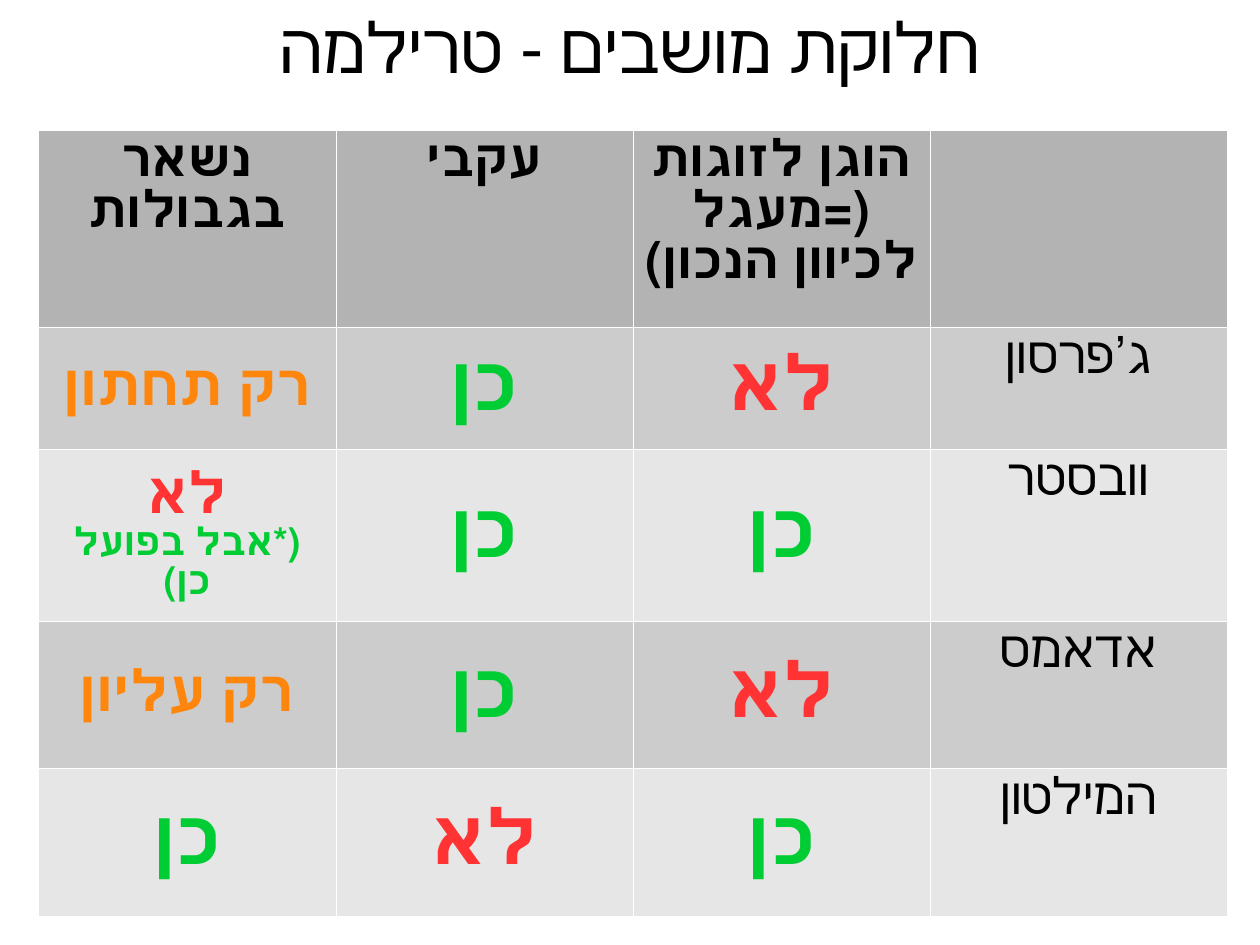
from dataclasses import dataclass

from lxml import etree
from pptx import Presentation
from pptx.dml.color import RGBColor
from pptx.enum import text
from pptx.oxml import ns
from pptx.util import Pt


@dataclass(frozen=True)
class Theme:
    font: str = "Arial"
    black: str = "000000"
    white: str = "FFFFFF"
    header: str = "B3B3B3"
    bands: tuple = ("CCCCCC", "E6E6E6")
    yes: str = "00CC33"
    no: str = "FF3333"
    partly: str = "FF860D"
    title_size: int = 44
    verdict_size: int = 48
    remark_size: int = 36
    label_size: int = 32
    note_size: int = 24
    border: float = 0.06


THEME = Theme()
SLIDE_WIDTH, SLIDE_HEIGHT = 793.7, 595.28
YES = [("כן", THEME.verdict_size, THEME.yes)]
NO = [("לא", THEME.verdict_size, THEME.no)]
HEADINGS = [["נשאר בגבולות"], ["עקבי"], ["הוגן לזוגות", "(=מעגל לכיוון הנכון)"], []]
# Each method: its name, then the verdicts from left to right
METHODS = [
    ("ג’פרסון", [("רק תחתון", THEME.remark_size, THEME.partly)], YES, NO),
    ("וובסטר", [("לא", THEME.remark_size, THEME.no),
                ("(*אבל בפועל כן)", THEME.note_size, THEME.yes)], YES, YES),
    ("אדאמס", [("רק עליון", THEME.remark_size, THEME.partly)], YES, NO),
    ("המילטון", YES, NO, YES),
]
COLUMN_WIDTH = 187.2
ROW_HEIGHTS = [124, 77, 108, 92.9, 92.9]


class HebrewSlide:
    def __init__(self, deck, theme):
        self.theme = theme
        self.slide = deck.slides.add_slide(deck.slide_layouts[5])

    def format_paragraph(self, paragraph, size, color, bold):
        """Centre a right-to-left paragraph and style its runs."""
        paragraph.alignment = text.PP_ALIGN.CENTER
        paragraph._p.get_or_add_pPr().set("rtl", "1")
        for run in paragraph.runs:
            run.font.name = self.theme.font
            run.font.size = Pt(size)
            run.font.bold = bold
            run.font.color.rgb = RGBColor.from_string(color)

    def title(self, wording, left, top, width, height):
        heading = self.slide.shapes.title
        heading.left, heading.top = Pt(left), Pt(top)
        heading.width, heading.height = Pt(width), Pt(height)
        frame = heading.text_frame
        frame.text = wording
        frame.word_wrap = True
        frame.auto_size = text.MSO_AUTO_SIZE.SHAPE_TO_FIT_TEXT
        frame.vertical_anchor = text.MSO_ANCHOR.MIDDLE
        frame.margin_left = frame.margin_right = 0
        frame.margin_top = frame.margin_bottom = 0
        self.format_paragraph(frame.paragraphs[0], self.theme.title_size,
                              self.theme.black, False)

    def table(self, left, top, column_count, column_width, row_heights):
        grid = self.slide.shapes.add_table(
            len(row_heights), column_count, Pt(left), Pt(top),
            Pt(column_width * column_count), Pt(sum(row_heights))).table
        grid.first_row = grid.horz_banding = False
        for column in grid.columns:
            column.width = Pt(column_width)
        for row, height in zip(grid.rows, row_heights):
            row.height = Pt(height)
        return grid

    def cell(self, cell, lines, fill, bold=True, anchor=text.MSO_ANCHOR.TOP,
             side_margin=7.2):
        """Fill a cell with lines of (wording, size, colour)."""
        cell.vertical_anchor = anchor
        cell.margin_left = cell.margin_right = Pt(side_margin)
        cell.text_frame.text = "\n".join(wording for wording, _, _ in lines)
        for paragraph, (_, size, color) in zip(cell.text_frame.paragraphs, lines):
            paragraph.line_spacing = Pt(size)
            self.format_paragraph(paragraph, size, color, bold)
        self.borders(cell)
        cell.fill.solid()
        cell.fill.fore_color.rgb = RGBColor.from_string(fill)

    def borders(self, cell):
        properties = cell._tc.get_or_add_tcPr()
        for side in ("a:lnL", "a:lnR", "a:lnT", "a:lnB"):
            line = etree.SubElement(properties, ns.qn(side),
                                    w=str(int(Pt(self.theme.border))))
            solid = etree.SubElement(line, ns.qn("a:solidFill"))
            etree.SubElement(solid, ns.qn("a:srgbClr"), val=self.theme.white)


def main():
    deck = Presentation()
    deck.slide_width, deck.slide_height = Pt(SLIDE_WIDTH), Pt(SLIDE_HEIGHT)
    page = HebrewSlide(deck, THEME)
    page.title("חלוקת מושבים - טרילמה", 0, -7.2, SLIDE_WIDTH, 72)

    comparison = page.table(24.2, 82, len(HEADINGS), COLUMN_WIDTH, ROW_HEIGHTS)
    for column, heading in enumerate(HEADINGS):
        lines = [(line, THEME.label_size, THEME.black) for line in heading]
        page.cell(comparison.cell(0, column), lines, THEME.header)

    for row, (method, *verdicts) in enumerate(METHODS, start=1):
        band = THEME.bands[(row - 1) % 2]
        for column, verdict in enumerate(verdicts):
            page.cell(comparison.cell(row, column), verdict, band,
                      anchor=text.MSO_ANCHOR.MIDDLE, side_margin=10)
        page.cell(comparison.cell(row, len(verdicts)),
                  [(method, THEME.label_size, THEME.black)], band, bold=False)

    deck.save("out.pptx")


if __name__ == "__main__":
    main()
